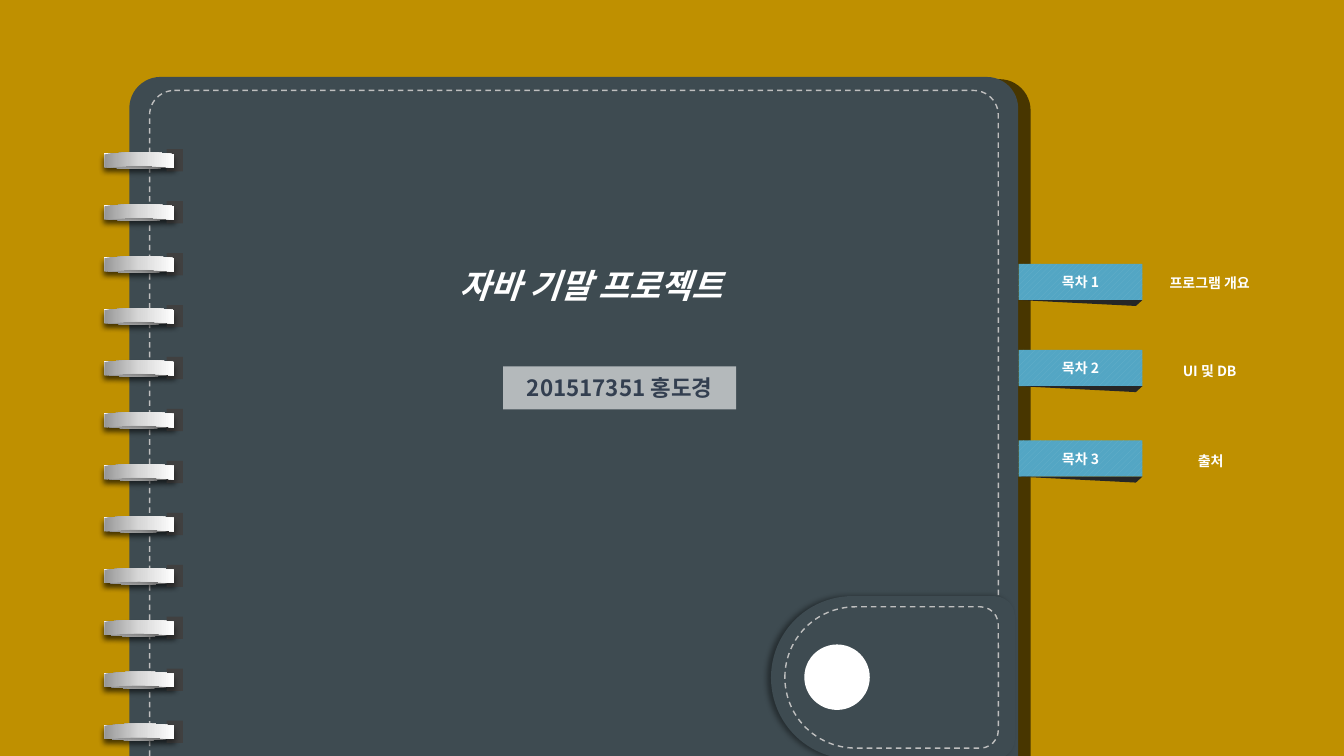
from dataclasses import dataclass

from lxml import etree
from pptx import Presentation
from pptx import util as u
from pptx.dml.color import RGBColor
from pptx.enum import dml, shapes, text
from pptx.oxml.ns import qn

FONT = "Noto Sans CJK KR"
COLORS = {
    "desk": "BF9000", "cover": "3E4B51", "stitch": "BFBFBF", "slot": "404040",
    "ring_dark": "979797", "ring_mid": "D7D7D7", "white": "FFFFFF", "black": "000000",
    "tab": "53A6C4", "tab_stripe": "67B1CB", "fold": "262626", "name": "333F50",
}
KIND = shapes.MSO_SHAPE
RING_COUNT, RING_TOP, LAST_RING_TOP = 12, 3.76, 18.16
RING_PITCH = (LAST_RING_TOP - RING_TOP) / (RING_COUNT - 1)
RING_LEFT, RING_RIGHT = 2.63, 4.4
TAB_LEFT, TAB_WIDTH, TAB_HEIGHT, FOLD_HEIGHT = 25.67, 3.12, 0.91, 0.15
LABEL_HEIGHT = 0.69


@dataclass
class Box:
    """Position and size in centimetres."""
    left: float
    top: float
    width: float
    height: float

    def emu(self) -> list[int]:
        return [u.Cm(v) for v in (self.left, self.top, self.width, self.height)]


@dataclass
class Shadow:
    opacity: int
    blur: int
    distance: int
    angle: int


@dataclass
class Tab:
    text: str
    top: float
    label: str
    label_box: Box


TABS = [
    Tab("목차 3", 11.1, "출처", Box(29.9, 11.28, 1.22, LABEL_HEIGHT)),
    Tab("목차 2", 8.82, "UI 및 DB", Box(29.43, 9.02, 2.11, LABEL_HEIGHT)),
    Tab("목차 1", 6.65, "프로그램 개요", Box(29.1, 6.79, 2.77, LABEL_HEIGHT)),
]
COVER_SHADOW = Shadow(61, 0, 9, 10)
RING_SHADOW = Shadow(40, 4, 3, 90)
FLAP_SHADOW = Shadow(40, 4, 3, 180)


def rgb(name: str) -> RGBColor:
    return RGBColor.from_string(COLORS[name])


def add_color(parent, name: str):
    return etree.SubElement(parent, qn("a:srgbClr"), val=COLORS[name])


def add_alpha(color, percent: int) -> None:
    etree.SubElement(color, qn("a:alpha"), val=str(percent * 1000))


def set_shadow(sp, shadow: Shadow | None) -> None:
    sp.shadow.inherit = False
    if shadow:
        effects = sp._element.spPr.find(qn("a:effectLst"))
        outer = etree.SubElement(
            effects, qn("a:outerShdw"), blurRad=str(u.Pt(shadow.blur)),
            dist=str(u.Pt(shadow.distance)), dir=str(shadow.angle * 60000),
            algn="ctr", rotWithShape="0")
        add_alpha(add_color(outer, "black"), shadow.opacity)


def add_shape(parent, kind, box: Box, fill: str | None = None, line: str | None = None,
              adj: tuple = (), rotation: int = 0, shadow: Shadow | None = None):
    sp = parent.shapes.add_shape(kind, *box.emu())
    for i, value in enumerate(adj):
        sp.adjustments[i] = value
    sp.rotation = rotation
    if fill:
        sp.fill.solid()
        sp.fill.fore_color.rgb = rgb(fill)
    else:
        sp.fill.background()
    if line:
        sp.line.color.rgb = rgb(line)
        sp.line.width = u.Pt(1)
        sp.line.dash_style = dml.MSO_LINE.DASH
    else:
        sp.line.fill.background()
    set_shadow(sp, shadow)
    return sp


def write(sp, content: str, size: int, color: str = "white", wrap: bool = True,
          anchor=text.MSO_ANCHOR.MIDDLE):
    tf = sp.text_frame
    tf.word_wrap = wrap
    tf.auto_size = text.MSO_AUTO_SIZE.NONE
    tf.vertical_anchor = anchor
    p = tf.paragraphs[0]
    p.text = content
    p.alignment = text.PP_ALIGN.CENTER
    p.font.name, p.font.size, p.font.bold = FONT, u.Pt(size), True
    p.font.color.rgb = rgb(color)
    etree.SubElement(p.font._element, qn("a:ea"), typeface=FONT)
    return p


def merge_into_curve(segments: list) -> None:
    """Turn three straight segments into one cubic curve through their points."""
    curve = etree.Element(qn("a:cubicBezTo"))
    segments[0].addprevious(curve)
    for segment in segments:
        curve.append(segment[0])
        segment.getparent().remove(segment)


def add_ring_half(parent, top: float, rotation: int) -> None:
    low = top + 0.34
    outline = [(3.48, top + 0.09), (3.81, top + 0.06), (RING_RIGHT, top),
               (RING_RIGHT, low),
               (3.81, low + 0.06), (3.43, low + 0.1), (RING_LEFT, low)]
    builder = parent.shapes.build_freeform(u.Cm(RING_LEFT), u.Cm(top))
    builder.add_line_segments([(u.Cm(x), u.Cm(y)) for x, y in outline], close=True)
    sp = builder.convert_to_shape()
    segments = list(sp._element.iter(qn("a:lnTo")))
    merge_into_curve(segments[:3])
    merge_into_curve(segments[4:7])
    sp.rotation = rotation
    sp.fill.gradient()
    sp.fill.gradient_angle = 180
    stops = sp._element.spPr.find(qn("a:gradFill")).find(qn("a:gsLst"))
    stops.clear()
    for percent, color in ((0, "ring_dark"), (50, "ring_mid"), (100, "white")):
        add_color(etree.SubElement(stops, qn("a:gs"), pos=str(percent * 1000)), color)
    sp.line.fill.background()
    set_shadow(sp, RING_SHADOW)


def add_ring(s, top: float) -> None:
    ring = s.shapes.add_group_shape()
    add_ring_half(ring, top + 0.1, 0)
    add_shape(ring, KIND.RECTANGLE, Box(4.2, top, 0.41, 0.56), "slot")
    add_ring_half(ring, top + 0.03, 180)


def add_tab(s, tab: Tab) -> None:
    group = s.shapes.add_group_shape()
    sp = add_shape(group, KIND.RECTANGLE, Box(TAB_LEFT, tab.top, TAB_WIDTH, TAB_HEIGHT))
    sp.fill.patterned()
    sp.fill.pattern = dml.MSO_PATTERN.WIDE_UPWARD_DIAGONAL
    sp.fill.fore_color.rgb = rgb("tab_stripe")
    sp.fill.back_color.rgb = rgb("tab")
    write(sp, tab.text, 10)
    add_shape(group, KIND.ISOSCELES_TRIANGLE,
              Box(TAB_LEFT, tab.top + TAB_HEIGHT, TAB_WIDTH, FOLD_HEIGHT),
              "fold", adj=(0.053,), rotation=180)
    label = s.shapes.add_textbox(*tab.label_box.emu())
    write(label, tab.label, 10, wrap=False, anchor=text.MSO_ANCHOR.TOP)


def add_title(s) -> None:
    title = s.shapes.title
    s.shapes._spTree.append(title._element)  # in front of the cover
    title.left, title.top, title.width, title.height = Box(8.53, 6.05, 12.73, 1.6).emu()
    p = write(title, "자바 기말 프로젝트", 24, anchor=text.MSO_ANCHOR.TOP)
    p.font.italic = True
    p.font._element.set("kern", "0")
    p.line_spacing = 1.5
    p.space_before = u.Pt(0)


def main() -> None:
    prs = Presentation()
    prs.slide_width, prs.slide_height = u.Cm(33.87), u.Cm(19.05)
    s = prs.slides.add_slide(prs.slide_layouts[5])
    s.background.fill.solid()
    s.background.fill.fore_color.rgb = rgb("desk")

    rounded = KIND.ROUND_2_SAME_RECTANGLE
    add_shape(s, rounded, Box(3.26, 1.94, 22.4, 17.12), "cover",
              adj=(0.046, 0), shadow=COVER_SHADOW)
    add_shape(s, rounded, Box(3.77, 2.28, 21.39, 16.84), line="stitch", adj=(0.037, 0))
    for i in range(RING_COUNT):
        add_ring(s, RING_TOP + i * RING_PITCH)

    add_shape(s, rounded, Box(20.45, 14, 4.11, 6.15), "cover",
              adj=(0.5, 0.127), rotation=270, shadow=FLAP_SHADOW)
    add_shape(s, rounded, Box(20.69, 14.38, 3.56, 5.38), "cover", "stitch",
              adj=(0.5, 0.127), rotation=270)
    add_title(s)
    plate = add_shape(s, KIND.RECTANGLE, Box(12.68, 9.23, 5.87, 1.09), "white")
    add_alpha(plate._element.spPr.find(qn("a:solidFill"))[0], 61)
    write(plate, "201517351 홍도경", 16, "name")
    add_shape(s, KIND.OVAL, Box(20.27, 16.24, 1.65, 1.65), "white")
    for tab in TABS:
        add_tab(s, tab)
    prs.save("out.pptx")


if __name__ == "__main__":
    main()
